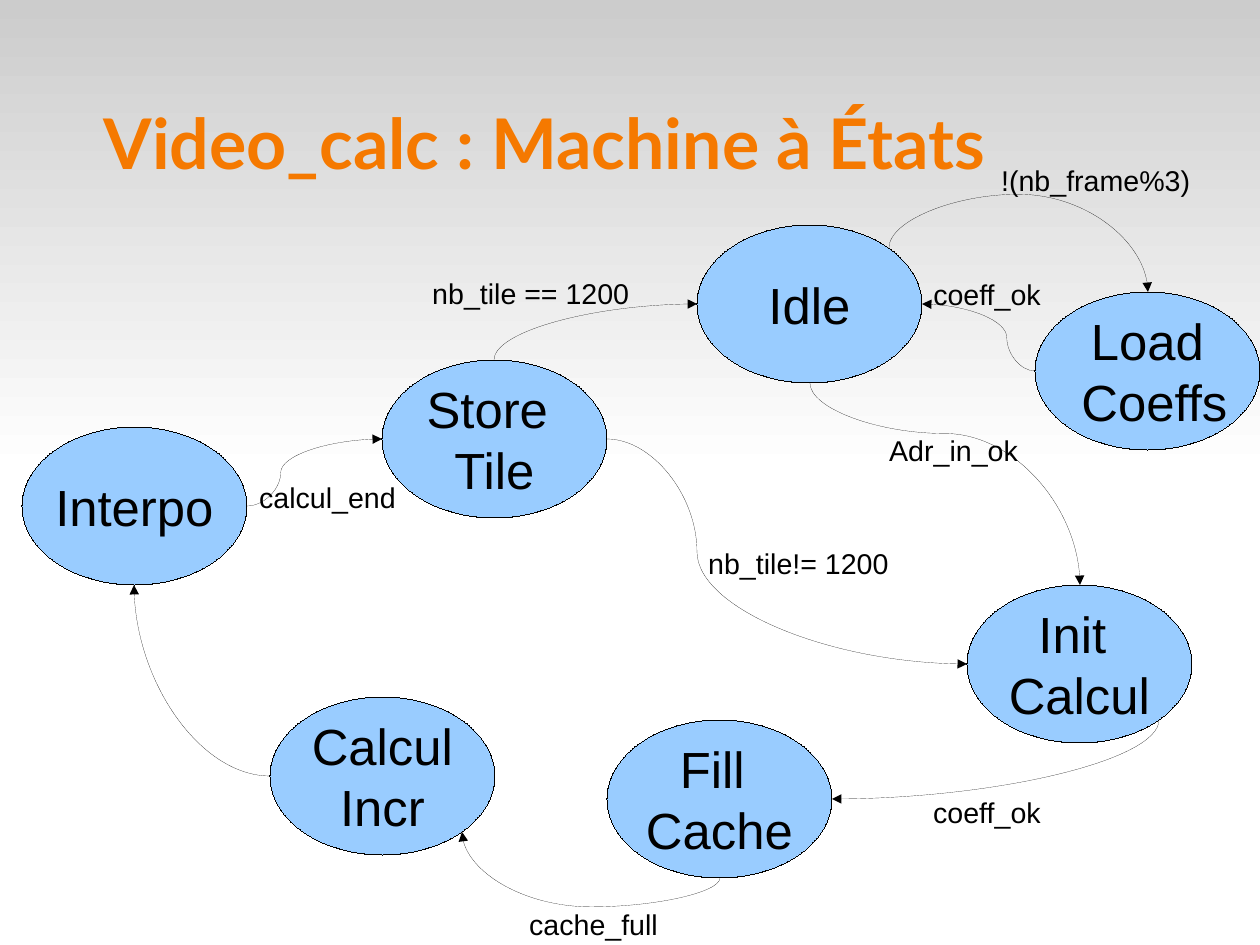
import math
from dataclasses import dataclass
from typing import Optional

from lxml import etree
from pptx import Presentation
from pptx.dml.color import RGBColor
from pptx.enum.shapes import MSO_CONNECTOR, MSO_SHAPE
from pptx.enum.text import MSO_ANCHOR, PP_ALIGN
from pptx.oxml.ns import qn
from pptx.util import Pt

EMU_PER_PX = 8000
SLIDE_W, SLIDE_H = 1260, 945
STATE_W, STATE_H = 225, 158
LABEL_H = 43
HAIRLINE = Pt(0.01)  # a width of 0 would fall back to the theme's line

ORANGE = RGBColor(0xF5, 0x79, 0x00)
SKY = RGBColor(0x99, 0xCC, 0xFF)
GREY = RGBColor(0xCC, 0xCC, 0xCC)
WHITE = RGBColor(0xFF, 0xFF, 0xFF)
BLACK = RGBColor(0x00, 0x00, 0x00)

RECT, OVAL, CURVE = MSO_SHAPE.RECTANGLE, MSO_SHAPE.OVAL, MSO_CONNECTOR.CURVE
CENTER, LEFT = PP_ALIGN.CENTER, PP_ALIGN.LEFT
MIDDLE = MSO_ANCHOR.MIDDLE

# Connection sites of an ellipse, counter-clockwise from the top
TOP, W_SIDE, BOTTOM, SE, E_SIDE, NE = 0, 2, 4, 5, 6, 7


@dataclass
class State:
    key: str
    x: int
    y: int
    lines: tuple[str, ...]

    def site(self, index: int) -> tuple[int, int]:
        angle = math.radians(90 + 45 * index)
        return (round(self.x + STATE_W / 2 * (1 + math.cos(angle))),
                round(self.y + STATE_H / 2 * (1 - math.sin(angle))))


@dataclass
class Transition:
    source: str
    source_site: int
    target: str
    target_site: int
    rotation: int
    flips: str = ""
    bend: Optional[int] = None  # percent of the run; None for a single bend


@dataclass
class Label:
    x: int
    y: int
    width: int
    text: str


STATES = [
    State("idle", 697, 225, ("Idle",)),
    State("load", 1035, 292, ("Load", " Coeffs")),
    State("fill", 607, 720, ("Fill ", "Cache")),
    State("init", 967, 585, ("Init ", "Calcul")),
    State("incr", 270, 697, ("Calcul", "Incr")),
    State("interpo", 22, 427, ("Interpo",)),
    State("store", 382, 360, ("Store ", "Tile")),
]

TRANSITIONS = [
    Transition("idle", NE, "load", TOP, 270, "H", -122),
    Transition("load", W_SIDE, "idle", E_SIDE, 180, "", 25),
    Transition("idle", BOTTOM, "init", TOP, 270, "H", 25),
    Transition("init", SE, "fill", E_SIDE, 90),
    Transition("fill", BOTTOM, "incr", SE, 270, "V", -63),
    Transition("incr", W_SIDE, "interpo", BOTTOM, 180),
    Transition("interpo", E_SIDE, "store", W_SIDE, 0, "V", 25),
    Transition("store", TOP, "idle", W_SIDE, 90, "HV"),
    Transition("store", E_SIDE, "init", W_SIDE, 0, "", 25),
]

LABELS = [
    Label(990, 157, 270, "!(nb_frame%3)"),
    Label(922, 271, 158, "coeff_ok"),
    Label(878, 427, 180, "Adr_in_ok"),
    Label(922, 789, 135, "coeff_ok"),
    Label(518, 901, 180, "cache_full"),
    Label(248, 474, 180, "calcul_end"),
    Label(421, 270, 270, "nb_tile == 1200"),
    Label(697, 540, 225, "nb_tile!= 1200"),
]


def px(value: float) -> int:
    return round(value * EMU_PER_PX)


def add_run(p, text: str, size: int, font: str, color: RGBColor,
            align=LEFT, bold: bool = False) -> None:
    p.alignment = align
    r = p.add_run()
    r.text = text
    r.font.size = Pt(size)
    r.font.name = font
    r.font.bold = bold
    r.font.color.rgb = color


def set_hairline(line) -> None:
    line.color.rgb = BLACK
    line.width = HAIRLINE


def add_backdrop(slide) -> None:
    sp = slide.shapes.add_shape(RECT, 0, 0, px(SLIDE_W), px(SLIDE_H / 2))
    sp.shadow.inherit = False
    sp.line.fill.background()
    sp.fill.gradient()
    sp.fill.gradient_angle = 270
    for stop, color in zip(sp.fill.gradient_stops, (GREY, WHITE)):
        stop.color.rgb = color
    slide.shapes._spTree.insert(2, sp._element)  # behind the title


def set_title(slide, text: str) -> None:
    title = slide.shapes.title
    title.left, title.top = px(-22), px(-32)
    title.width, title.height = px(1134), px(348)
    tf = title.text_frame
    tf.margin_left = tf.margin_right = tf.margin_top = tf.margin_bottom = 0
    tf.vertical_anchor = MIDDLE
    add_run(tf.paragraphs[0], text, 44, "Lato", ORANGE, CENTER, True)


def add_state(slide, state: State):
    sp = slide.shapes.add_shape(OVAL, px(state.x), px(state.y),
                                px(STATE_W), px(STATE_H))
    sp.shadow.inherit = False
    sp.fill.solid()
    sp.fill.fore_color.rgb = SKY
    set_hairline(sp.line)
    tf = sp.text_frame
    tf.word_wrap = False
    tf.vertical_anchor = MIDDLE
    for i, line in enumerate(state.lines):
        p = tf.add_paragraph() if i else tf.paragraphs[0]
        add_run(p, line, 32, "Arial", BLACK, CENTER)
    return sp


def add_transition(slide, t: Transition, states: dict, ovals: dict) -> None:
    x1, y1 = states[t.source].site(t.source_site)
    x2, y2 = states[t.target].site(t.target_site)
    w, h = abs(x2 - x1), abs(y2 - y1)
    if t.rotation % 180:  # the frame is given before its quarter turn
        w, h = h, w
    left, top = (x1 + x2 - w) / 2, (y1 + y2 - h) / 2
    cxn = slide.shapes.add_connector(CURVE, px(left), px(top),
                                     px(left + w), px(top + h))
    set_hairline(cxn.line)

    # Direction and bend
    sp_pr = cxn._element.spPr
    xfrm = sp_pr.find(qn("a:xfrm"))
    xfrm.set("rot", str(t.rotation * 60000))
    for flip in t.flips:
        xfrm.set("flip" + flip, "1")
    geom = sp_pr.find(qn("a:prstGeom"))
    geom.set("prst", "curvedConnector2" if t.bend is None else "curvedConnector3")
    if t.bend is not None:
        etree.SubElement(geom.find(qn("a:avLst")), qn("a:gd"),
                         name="adj1", fmla=f"val {t.bend * 1000}")

    # Arrowhead, no shadow
    etree.SubElement(sp_pr.find(qn("a:ln")), qn("a:tailEnd"), type="triangle")
    etree.SubElement(sp_pr, qn("a:effectLst"))

    # Joints with the two states
    joints = cxn._element.find(".//" + qn("p:cNvCxnSpPr"))
    for tag, key, site in (("a:stCxn", t.source, t.source_site),
                           ("a:endCxn", t.target, t.target_site)):
        etree.SubElement(joints, qn(tag), id=str(ovals[key].shape_id), idx=str(site))


def add_label(slide, label: Label) -> None:
    box = slide.shapes.add_textbox(px(label.x), px(label.y),
                                   px(label.width), px(LABEL_H))
    box.text_frame.word_wrap = True
    add_run(box.text_frame.paragraphs[0], label.text, 18, "Arial", BLACK)


def main() -> None:
    prs = Presentation()
    prs.slide_width, prs.slide_height = px(SLIDE_W), px(SLIDE_H)
    slide = prs.slides.add_slide(prs.slide_layouts[5])
    add_backdrop(slide)
    set_title(slide, "Video_calc : Machine à États")
    states = {state.key: state for state in STATES}
    ovals = {state.key: add_state(slide, state) for state in STATES}
    for transition in TRANSITIONS:
        add_transition(slide, transition, states, ovals)
    for label in LABELS:
        add_label(slide, label)
    prs.save("out.pptx")


if __name__ == "__main__":
    main()
